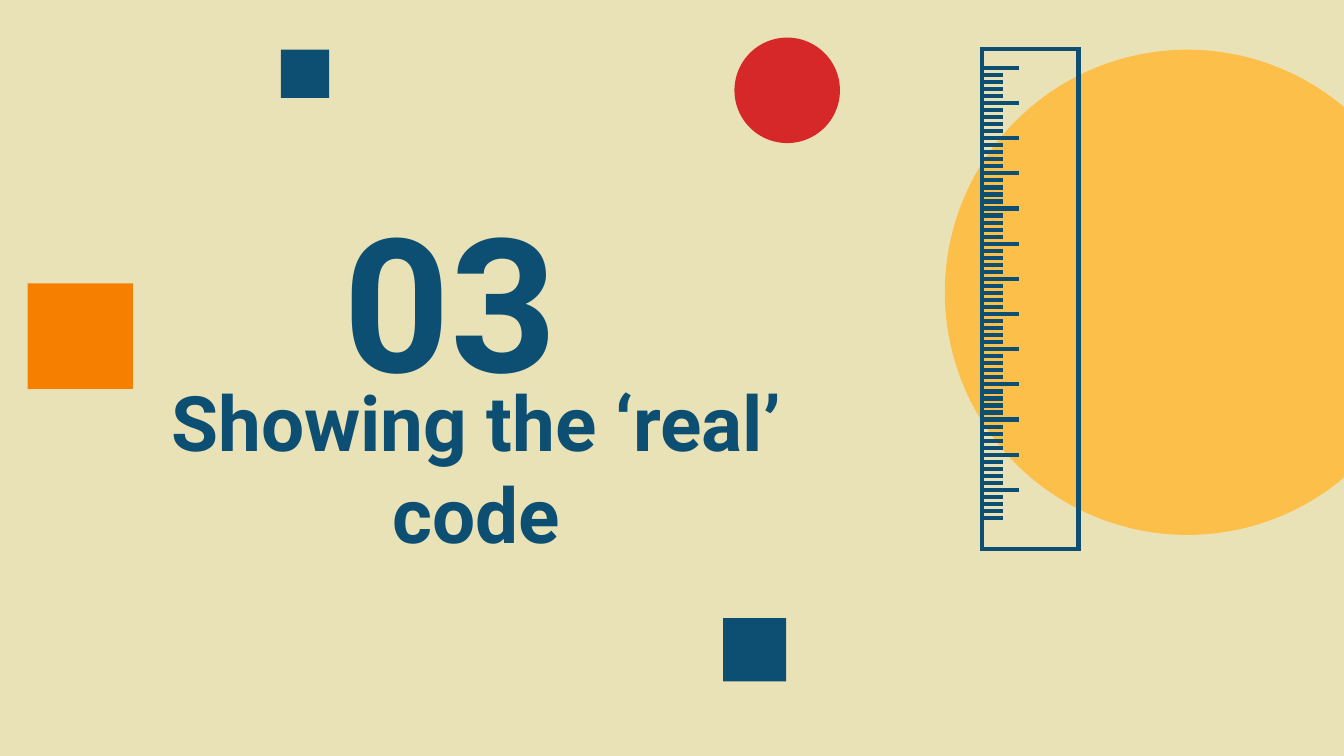
from pptx import Presentation
from pptx.dml.color import RGBColor
from pptx.enum.shapes import MSO_CONNECTOR, MSO_SHAPE
from pptx.enum.text import MSO_ANCHOR, MSO_AUTO_SIZE, PP_ALIGN
from pptx.oxml.ns import qn
from pptx.util import Inches, Pt
from lxml import etree

RECTANGLE, OVAL = MSO_SHAPE.RECTANGLE, MSO_SHAPE.OVAL
STRAIGHT = MSO_CONNECTOR.STRAIGHT
CENTER, MIDDLE, NO_FIT = PP_ALIGN.CENTER, MSO_ANCHOR.MIDDLE, MSO_AUTO_SIZE.NONE
TITLE_ONLY = 5

COLORS = {"sand": "EAE2B7", "navy": "0C4F72", "amber": "FCBF49",
          "orange": "F77F00", "red": "D62828"}
FONT = "Roboto"
COLUMNS, ROWS = 1000, 562.5
CELL = Inches(10) / COLUMNS
RULE_WIDTH = Pt(2.25)

RULER = (730.5, 36.5, 72, 372)
TICK_START = 731.5
FIRST_TICK, LAST_TICK, TICK_COUNT = 50.5, 385.5, 65
MAJOR_EVERY, MAJOR_LENGTH, MINOR_LENGTH = 5, 27, 15


def grid(*cells):
    """Turn grid columns and rows into slide lengths."""
    return [round(cell * CELL) for cell in cells]


def color(name):
    return RGBColor.from_string(COLORS[name])


def add_solid(shapes, preset, box, fill):
    solid = shapes.add_shape(preset, *grid(*box))
    solid.shadow.inherit = False
    solid.fill.solid()
    solid.fill.fore_color.rgb = color(fill)
    solid.line.fill.background()


def format_heading(heading, box, text, size):
    for side, length in zip(("left", "top", "width", "height"), grid(*box)):
        setattr(heading, side, length)
    frame = heading.text_frame
    margins = dict.fromkeys(("margin_left", "margin_top", "margin_right",
                             "margin_bottom"), Inches(0.1))
    frame_format = {"word_wrap": True, "auto_size": NO_FIT,
                    "vertical_anchor": MIDDLE, **margins}
    for name, value in frame_format.items():
        setattr(frame, name, value)
    paragraph = frame.paragraphs[0]
    paragraph.alignment = CENTER
    run = paragraph.add_run()
    run.text = text
    for name, value in {"name": FONT, "size": Pt(size), "bold": True}.items():
        setattr(run.font, name, value)
    run.font.color.rgb = color("navy")


def format_rule(line):
    line.color.rgb = color("navy")
    line.width = RULE_WIDTH


def add_tick(shapes, row, length):
    tick = shapes.add_connector(
        STRAIGHT, *grid(TICK_START, row, TICK_START + length, row))
    format_rule(tick.line)
    etree.SubElement(tick._element.spPr, qn("a:effectLst"))


def add_ruler(slide):
    ruler = slide.shapes.add_group_shape().shapes
    body = ruler.add_shape(RECTANGLE, *grid(*RULER))
    body.shadow.inherit = False
    body.fill.background()
    format_rule(body.line)
    corner = etree.SubElement(body.line._get_or_add_ln(), qn("a:miter"))
    corner.set("lim", "800000")
    gap = (LAST_TICK - FIRST_TICK) / (TICK_COUNT - 1)
    for index in range(TICK_COUNT):
        length = MINOR_LENGTH if index % MAJOR_EVERY else MAJOR_LENGTH
        add_tick(ruler, FIRST_TICK + index * gap, length)


def main():
    deck = Presentation()
    deck.slide_width, deck.slide_height = grid(COLUMNS, ROWS)
    slide = deck.slides.add_slide(deck.slide_layouts[TITLE_ONLY])
    slide.background.fill.solid()
    slide.background.fill.fore_color.rgb = color("sand")
    shapes = slide.shapes

    format_heading(shapes.title, (51, 306, 607, 83),
                   "Showing the ‘real’ code", 41)
    number_box = (123, 161, 424, 121)
    format_heading(shapes.add_textbox(*grid(*number_box)), number_box, "03", 100)

    add_solid(shapes, OVAL, (703, 37, 361, 361), "amber")
    add_ruler(slide)
    for preset, left, top, side, fill in (
        (RECTANGLE, 20.5, 211, 78.5, "orange"),
        (OVAL, 546.5, 28, 78.5, "red"),
        (RECTANGLE, 209, 37, 36, "navy"),
        (RECTANGLE, 538, 460, 47, "navy"),
    ):
        add_solid(shapes, preset, (left, top, side, side), fill)

    deck.save("out.pptx")


if __name__ == "__main__":
    main()
